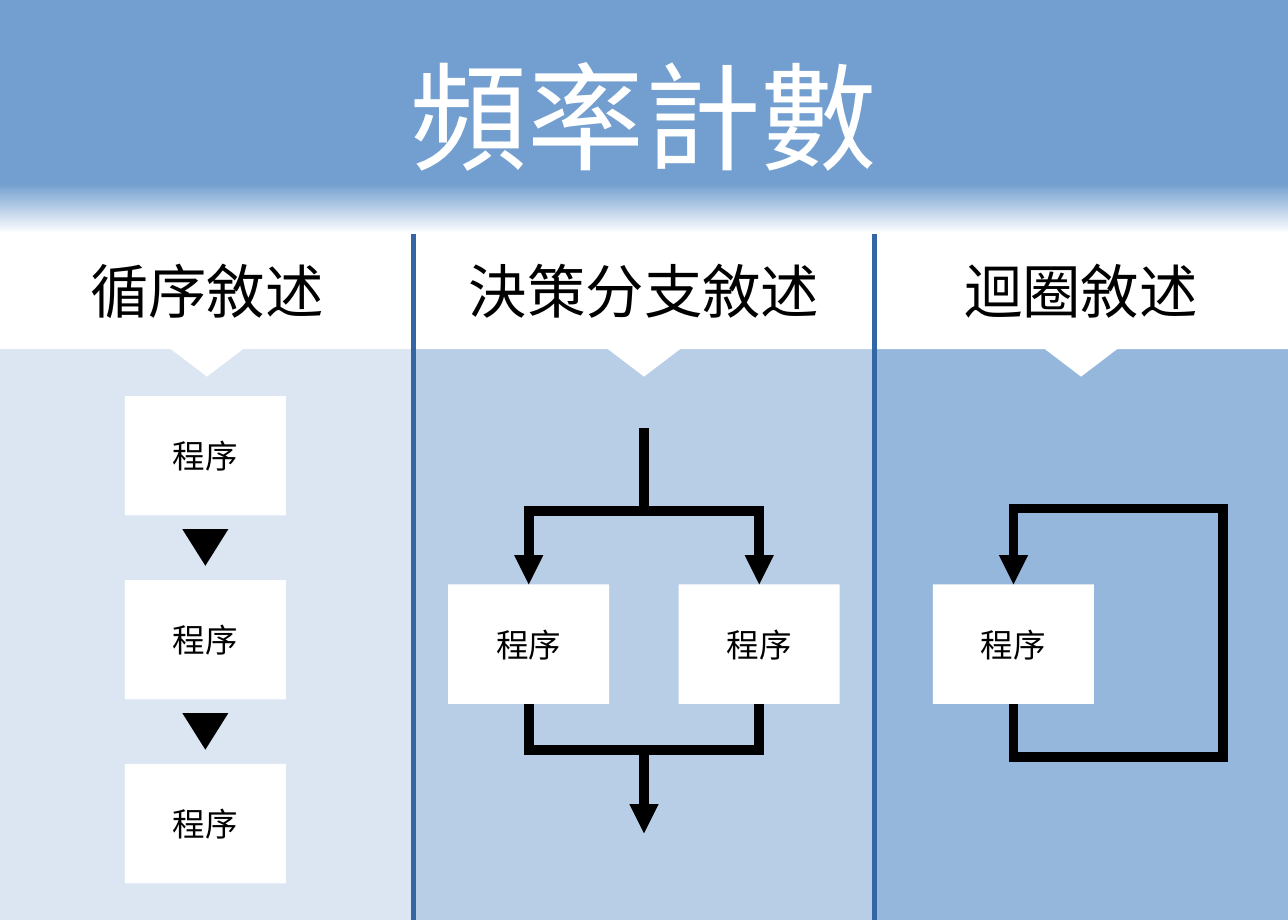
import lxml.etree
import pptx
import pptx.dml.color
import pptx.enum.shapes
import pptx.enum.text
import pptx.oxml.ns
import pptx.util

Pt = pptx.util.Pt
qn = pptx.oxml.ns.qn
SHAPE = pptx.enum.shapes.MSO_SHAPE
COLORS = {
    "blue": "729FCF",
    "divider": "3465A4",
    "white": "FFFFFF",
    "black": "000000",
}
CJK_FONT = "Noto Sans CJK TC"
TOP, BOTTOM, BODY_TOP = 0, 2, 141.7
WIDTH, HEIGHT = 793.5, 566.7
HEADER_HEIGHT = 73.4
BOX_WIDTH, BOX_HEIGHT = 99.2, 73.6
STROKE = 6
# heading, left, width, opacity in percent
COLUMNS = [
    ("循序敘述", 0, 255, 25),
    ("決策分支敘述", 255, 283.5, 50),
    ("迴圈敘述", 538.5, 255, 75),
]


def rgb(color):
    return pptx.dml.color.RGBColor.from_string(COLORS[color])


def add_block(slide, left, top, width, height, color, kind=SHAPE.RECTANGLE):
    shape = slide.shapes.add_shape(kind, Pt(left), Pt(top), Pt(width), Pt(height))
    shape.shadow.inherit = False
    shape.fill.solid()
    shape.fill.fore_color.rgb = rgb(color)
    shape.line.fill.background()
    return shape


def set_opacity(shape, percent):
    color = shape.element.spPr.find(".//" + qn("a:srgbClr"))
    lxml.etree.SubElement(color, qn("a:alpha"), val=str(percent * 1000))


def set_label(shape, text, size, color="black", font_name="Arial"):
    frame = shape.text_frame
    frame.text = text
    frame.word_wrap = False
    frame.vertical_anchor = pptx.enum.text.MSO_ANCHOR.MIDDLE
    paragraph = frame.paragraphs[0]
    paragraph.alignment = pptx.enum.text.PP_ALIGN.CENTER
    run = paragraph.runs[0]
    run.font.size = Pt(size)
    run.font.color.rgb = rgb(color)
    run.font.name = font_name
    properties = run.font._element
    lxml.etree.SubElement(properties, qn("a:ea"), typeface=CJK_FONT)


def add_down_triangle(slide, center, top, width, height, color):
    triangle = add_block(slide, center - width / 2, top, width, height, color,
                         SHAPE.ISOSCELES_TRIANGLE)
    triangle.rotation = 180


def add_process(slide, center, top):
    box = add_block(slide, center - BOX_WIDTH / 2, top, BOX_WIDTH, BOX_HEIGHT, "white")
    set_label(box, "程序", 20)
    return box


def add_line(slide, start, end, color="black", width=STROKE, arrow=False,
             from_box=None, to_box=None):
    """Draw a straight line, leaving from_box at its bottom or entering to_box at its top."""
    line = slide.shapes.add_connector(
        pptx.enum.shapes.MSO_CONNECTOR.STRAIGHT, *map(Pt, start + end))
    if from_box is not None:
        line.begin_connect(from_box, BOTTOM)
    if to_box is not None:
        line.end_connect(to_box, TOP)
    line.line.color.rgb = rgb(color)
    line.line.width = Pt(width)
    if arrow:
        lxml.etree.SubElement(line.get_or_add_ln(), qn("a:tailEnd"), type="triangle")
    lxml.etree.SubElement(line.element.spPr, qn("a:effectLst"))


def add_bar(slide, left, right, y):
    """Draw a horizontal line that covers the corners at both ends."""
    add_line(slide, (left - STROKE / 2, y), (right + STROKE / 2, y))


def add_columns(slide):
    for heading, left, width, opacity in COLUMNS:
        panel = add_block(slide, left, BODY_TOP, width, HEIGHT - BODY_TOP, "blue")
        set_opacity(panel, opacity)
        header = add_block(slide, left, BODY_TOP, width, HEADER_HEIGHT, "white")
        set_label(header, heading, 36)
        add_down_triangle(slide, left + width / 2, 204, 73.6, 28, "white")
    for heading, left, width, opacity in COLUMNS[1:]:
        add_line(slide, (left, BODY_TOP), (left, HEIGHT), "divider", 3)


def add_sequence(slide):
    center, first_top, step = 126.5, 244, 113.3
    for index in range(3):
        top = first_top + index * step
        add_process(slide, center, top)
        if index < 2:
            add_down_triangle(slide, center, top + 82, 28.3, 22.5, "black")


def add_branch(slide):
    center, reach, box_top = 396.75, 71, 360
    split_y, merge_y = 314.6, 462.2
    add_line(slide, (center, 263.5), (center, split_y))
    add_bar(slide, center - reach, center + reach, split_y)
    for x in (center - reach, center + reach):
        box = add_process(slide, x, box_top)
        add_line(slide, (x, split_y), (x, box_top), arrow=True, to_box=box)
        add_line(slide, (x, box_top + BOX_HEIGHT), (x, merge_y), from_box=box)
    add_bar(slide, center - reach, center + reach, merge_y)
    add_line(slide, (center, merge_y), (center, 513.4), arrow=True)


def add_loop(slide):
    center, right, box_top = 624.4, 753.6, 360
    upper_y, lower_y = 313.2, 466.4
    box = add_process(slide, center, box_top)
    add_line(slide, (center, box_top + BOX_HEIGHT), (center, lower_y), from_box=box)
    add_bar(slide, center, right, lower_y)
    add_line(slide, (right, lower_y), (right, upper_y))
    add_bar(slide, center, right, upper_y)
    add_line(slide, (center, upper_y), (center, box_top), arrow=True, to_box=box)


def add_title_fade(slide):
    fade = add_block(slide, 0, 113.2, WIDTH, 30.8, "white")
    fade.fill.gradient()
    fade.fill.gradient_angle = 270
    for stop, position, color in zip(fade.fill.gradient_stops, (0, 1), ("blue", "white")):
        stop.position = position
        stop.color.rgb = rgb(color)


def main():
    presentation = pptx.Presentation()
    presentation.slide_width = Pt(WIDTH)
    presentation.slide_height = Pt(HEIGHT)
    slide = presentation.slides.add_slide(presentation.slide_layouts[6])
    title = add_block(slide, 0, 0, WIDTH, BODY_TOP, "blue")
    set_label(title, "頻率計數", 72, "white", CJK_FONT)
    add_columns(slide)
    add_sequence(slide)
    add_branch(slide)
    add_loop(slide)
    add_title_fade(slide)
    presentation.save("out.pptx")


if __name__ == "__main__":
    main()
